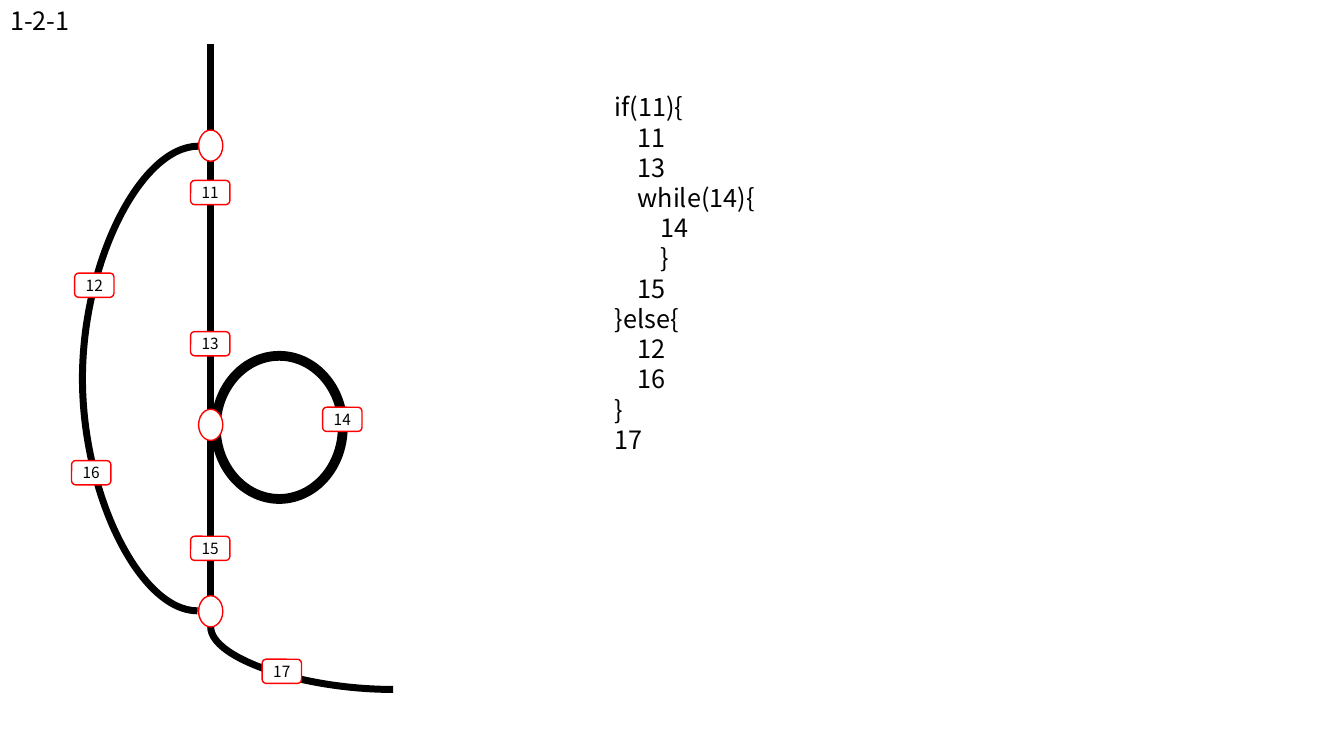
import pptx
import pptx.util
import pptx.dml.color
import pptx.enum.shapes
import pptx.enum.text
import lxml.etree
from pptx.util import Inches, Pt

COLORS = {"black": "000000", "white": "FFFFFF", "red": "FF0000"}
FONT = "Noto Sans CJK KR"
SHAPES = pptx.enum.shapes.MSO_SHAPE
CONNECTORS = pptx.enum.shapes.MSO_CONNECTOR
ALIGN = pptx.enum.text.PP_ALIGN
ANCHOR = pptx.enum.text.MSO_ANCHOR
AUTO_SIZE = pptx.enum.text.MSO_AUTO_SIZE


def rgb(name):
    return pptx.dml.color.RGBColor.from_string(COLORS[name])


def write(frame, lines, size, align, frame_format):
    for name, value in frame_format.items():
        setattr(frame, name, value)
    for index, (level, text) in enumerate(lines):
        paragraph = frame.paragraphs[0] if index == 0 else frame.add_paragraph()
        paragraph.alignment = align
        if level:
            paragraph._p.get_or_add_pPr().set("marL", str(Inches(0.225 * level)))
        run = paragraph.add_run()
        run.text = text
        for name, value in {"size": Pt(size), "name": FONT}.items():
            setattr(run.font, name, value)
        run.font.color.rgb = rgb("black")


presentation = pptx.Presentation()
presentation.slide_width = Inches(13.33)
presentation.slide_height = Inches(7.5)
slide = presentation.slides.add_slide(presentation.slide_layouts[5])

text_format = {"word_wrap": True, "auto_size": AUTO_SIZE.NONE, "vertical_anchor": ANCHOR.TOP}
title = slide.shapes.title
for name, value in {"left": 0, "top": 0, "width": 0.88, "height": 0.4}.items():
    setattr(title, name, Inches(value))
write(title.text_frame, [(0, "1-2-1")], 18, ALIGN.LEFT, text_format)

trunk_x = 2.09
node_width, node_height = 0.24, 0.31
node_tops = [1.29, 4.06, 5.91]
first, middle, last = node_tops
paths = [
    (CONNECTORS.CURVE, 1.97, 1.45, 1.96, 6.06, "curvedConnector3", 11700000),
    (CONNECTORS.CURVE, 3.9, 6.84, trunk_x, 6.22, "curvedConnector2", None),
    (CONNECTORS.STRAIGHT, trunk_x, 0.44, trunk_x, first, "line", None),
    (CONNECTORS.STRAIGHT, trunk_x, first + node_height, trunk_x, middle, "line", None),
    (CONNECTORS.STRAIGHT, trunk_x, middle + node_height, trunk_x, last, "line", None),
]
for kind, start_x, start_y, end_x, end_y, preset, bend in paths:
    connector = slide.shapes.add_connector(
        kind, Inches(start_x), Inches(start_y), Inches(end_x), Inches(end_y)
    )
    connector.line.color.rgb = rgb("black")
    connector.line.width = Pt(5)
    properties = connector._element.spPr
    lxml.etree.SubElement(properties, pptx.oxml.ns.qn("a:effectLst"))
    geometry = properties.find(pptx.oxml.ns.qn("a:prstGeom"))
    geometry.set("prst", preset)
    if bend:
        adjustments = geometry.find(pptx.oxml.ns.qn("a:avLst"))
        guide = lxml.etree.SubElement(adjustments, pptx.oxml.ns.qn("a:gd"))
        guide.set("name", "adj1")
        guide.set("fmla", f"val {bend}")

loop = (SHAPES.OVAL, 2.14, 3.53, 1.26, 1.42, None, "black", 7, "")
nodes = [
    (SHAPES.OVAL, trunk_x - node_width / 2, top, node_width, node_height, "white", "red", 1, "")
    for top in node_tops
]
label_places = {
    "17": (2.6, 6.54),
    "16": (0.71, 4.57),
    "15": (1.89, 5.32),
    "14": (3.2, 4.04),
    "12": (0.74, 2.71),
    "11": (1.89, 1.79),
    "13": (1.89, 3.29),
}
labels = [
    (SHAPES.ROUNDED_RECTANGLE, left, top, 0.39, 0.24, "white", "red", 1, text)
    for text, (left, top) in label_places.items()
]
label_format = {"word_wrap": True, "vertical_anchor": ANCHOR.MIDDLE}
for side in ("left", "right", "top", "bottom"):
    label_format[f"margin_{side}"] = 0

for kind, left, top, width, height, fill, line, weight, text in [loop, *nodes, *labels]:
    shape = slide.shapes.add_shape(
        kind, Inches(left), Inches(top), Inches(width), Inches(height)
    )
    shape.shadow.inherit = False
    if fill:
        shape.fill.solid()
        shape.fill.fore_color.rgb = rgb(fill)
    else:
        shape.fill.background()
    shape.line.color.rgb = rgb(line)
    shape.line.width = Pt(weight)
    if text:
        write(shape.text_frame, [(0, text)], 11, ALIGN.CENTER, label_format)

code = [
    (0, "if(11){"),
    (1, "11"),
    (1, "13"),
    (1, "while(14){"),
    (2, "14"),
    (2, "}"),
    (1, "15"),
    (0, "}else{"),
    (1, "12"),
    (1, "16"),
    (0, "}"),
    (0, "17"),
]
code_box = slide.shapes.add_textbox(Inches(6), Inches(0.86), Inches(2.37), Inches(3.74))
write(code_box.text_frame, code, 18, ALIGN.LEFT, text_format)

presentation.save("out.pptx")
